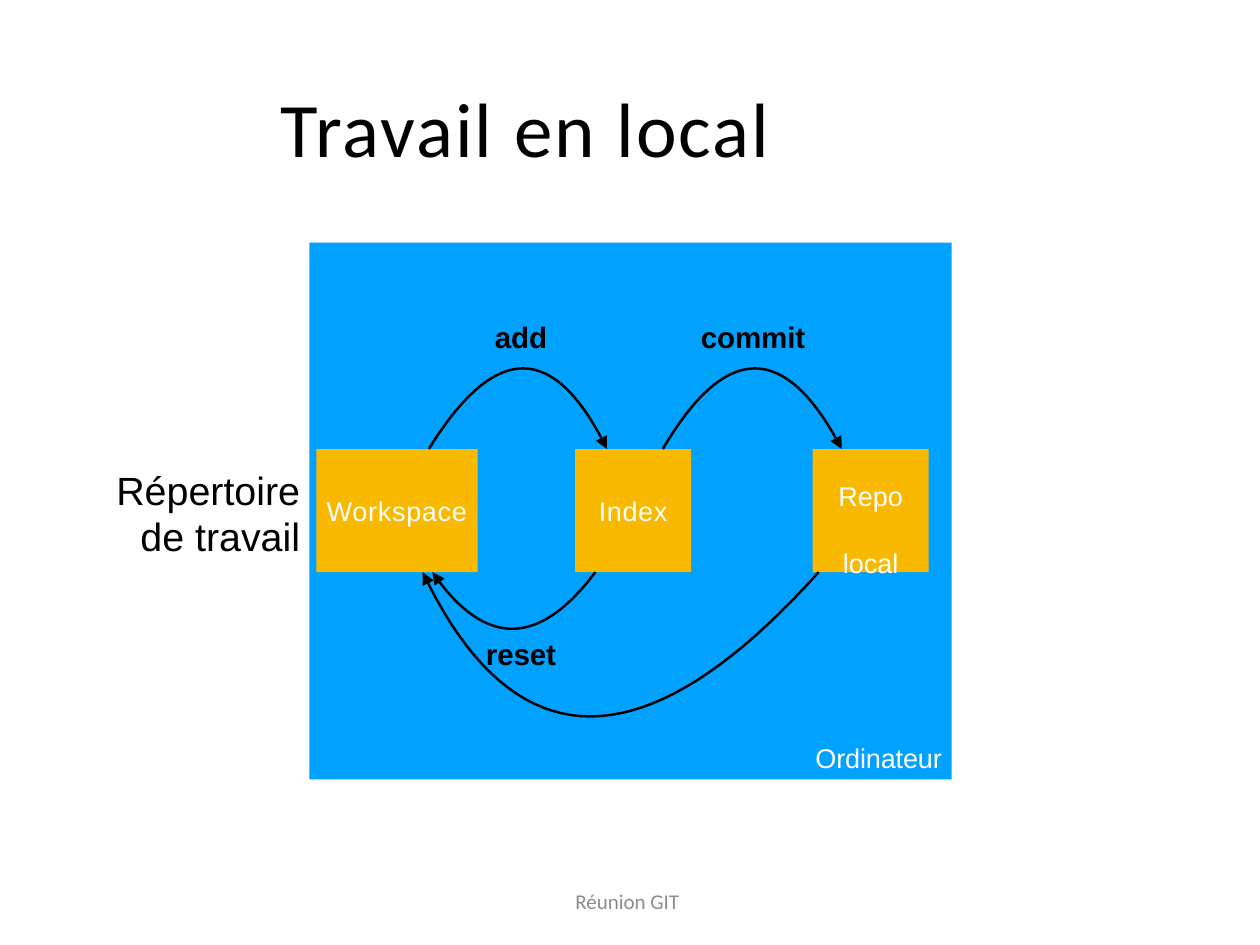
import pptx
import pptx.util
import pptx.dml.color
import pptx.enum.shapes
import pptx.enum.text
import pptx.oxml.ns
from lxml import etree

Inches, Pt = pptx.util.Inches, pptx.util.Pt
ALIGN, ANCHOR = pptx.enum.text.PP_ALIGN, pptx.enum.text.MSO_ANCHOR
BLACK, WHITE, GREY = "000000", "FFFFFF", "8C8C8C"
BLUE, AMBER = "00A1FF", "F8B900"


def color(hex_string):
    return pptx.dml.color.RGBColor.from_string(hex_string)


def write(s, text, size, font="Arial", fill=BLACK, bold=False, align=ALIGN.CENTER,
          spacing=0, line=None, before=0, anchor=ANCHOR.MIDDLE, top=0):
    """Fill shape s with text, one paragraph a line; spacing is between letters, in points."""
    tf = s.text_frame
    tf.word_wrap = True
    tf.vertical_anchor = anchor
    tf.margin_left = tf.margin_right = tf.margin_bottom = 0
    tf.margin_top = Inches(top)
    for i, words in enumerate(text.split("\n")):
        p = tf.add_paragraph() if i else tf.paragraphs[0]
        p.alignment = align
        if line:
            p.line_spacing = Pt(line)
        if i and before:
            p.space_before = Pt(before)
        r = p.add_run()
        r.text = words
        r.font.name, r.font.size, r.font.bold = font, Pt(size), bold
        r.font.color.rgb = color(fill)
        if spacing:
            r._r.get_or_add_rPr().set("spc", str(round(spacing * 100)))


prs = pptx.Presentation()
prs.slide_width, prs.slide_height = Inches(14.22), Inches(10.67)
slide = prs.slides.add_slide(prs.slide_layouts[6])
shapes = slide.shapes

# Computer and the three areas inside it
box_top, box_height = 5.07, 1.39
box_bottom = box_top + box_height
two_lines = dict(anchor=ANCHOR.TOP, top=0.34, before=28.5)
boxes = [
    (3.49, 2.74, 7.25, 6.06, BLUE, None, {}),
    (3.57, box_top, 1.82, box_height, AMBER, "Workspace", dict(spacing=0.6)),
    (6.49, box_top, 1.31, box_height, AMBER, "Index", dict(spacing=0.5)),
    (9.17, box_top, 1.31, box_height, AMBER, "Repo\nlocal", two_lines),
]
for x, y, w, h, fill, text, style in boxes:
    s = shapes.add_shape(pptx.enum.shapes.MSO_SHAPE.RECTANGLE,
                         Inches(x), Inches(y), Inches(w), Inches(h))
    s.shadow.inherit = False
    s.fill.solid()
    s.fill.fore_color.rgb = color(fill)
    s.line.fill.background()
    if text:
        write(s, text, 22, fill=WHITE, **style)

# Curved arrows: start x, control x, end x, edge y, control y of a quadratic curve
arrows = [
    (4.84, 5.96, 6.85, box_top, 3.25),
    (7.48, 8.55, 9.5, box_top, 3.25),
    (6.72, 5.76, 4.88, box_bottom, 7.74),
    (9.24, 6.32, 4.77, box_bottom, 9.72),
]
STEPS = 40
for start, control, end, edge, control_y in arrows:
    points = []
    for i in range(STEPS + 1):
        t = i / STEPS
        u = 1 - t
        points.append((Inches(u * u * start + 2 * u * t * control + t * t * end),
                       Inches((u * u + t * t) * edge + 2 * u * t * control_y)))
    builder = shapes.build_freeform(*points[0])
    builder.add_line_segments(points[1:], close=False)
    s = builder.convert_to_shape()
    s.shadow.inherit = False
    s.fill.background()
    s.line.color.rgb = color(BLACK)
    s.line.width = Pt(2)
    etree.SubElement(s.line._get_or_add_ln(), pptx.oxml.ns.qn("a:tailEnd"),
                     type="triangle", w="lg", len="lg")

command = dict(size=24, bold=True, spacing=-0.1)
texts = [
    (3.17, 0.75, 7.87, 1.36, "Travail en local",
     dict(size=62.6, font="Calibri", align=ALIGN.LEFT, spacing=1.7)),
    (4.68, 9.89, 4.8, 0.57, "Réunion GIT", dict(size=17.1, font="Calibri", fill=GREY)),
    (1.11, 5.25, 2.28, 1.09, "Répertoire\nde travail",
     dict(size=32, align=ALIGN.RIGHT, line=37.8)),
    (9.05, 8.36, 1.58, 0.39, "Ordinateur",
     dict(size=22, fill=WHITE, align=ALIGN.RIGHT, spacing=-0.1)),
    (5.38, 7.17, 1, 0.43, "reset", command),
    (7.8, 3.59, 1.4, 0.43, "commit", command),
    (5.38, 3.59, 1, 0.43, "add", command),
]
for x, y, w, h, text, style in texts:
    write(shapes.add_textbox(Inches(x), Inches(y), Inches(w), Inches(h)), text, **style)

prs.save("out.pptx")
